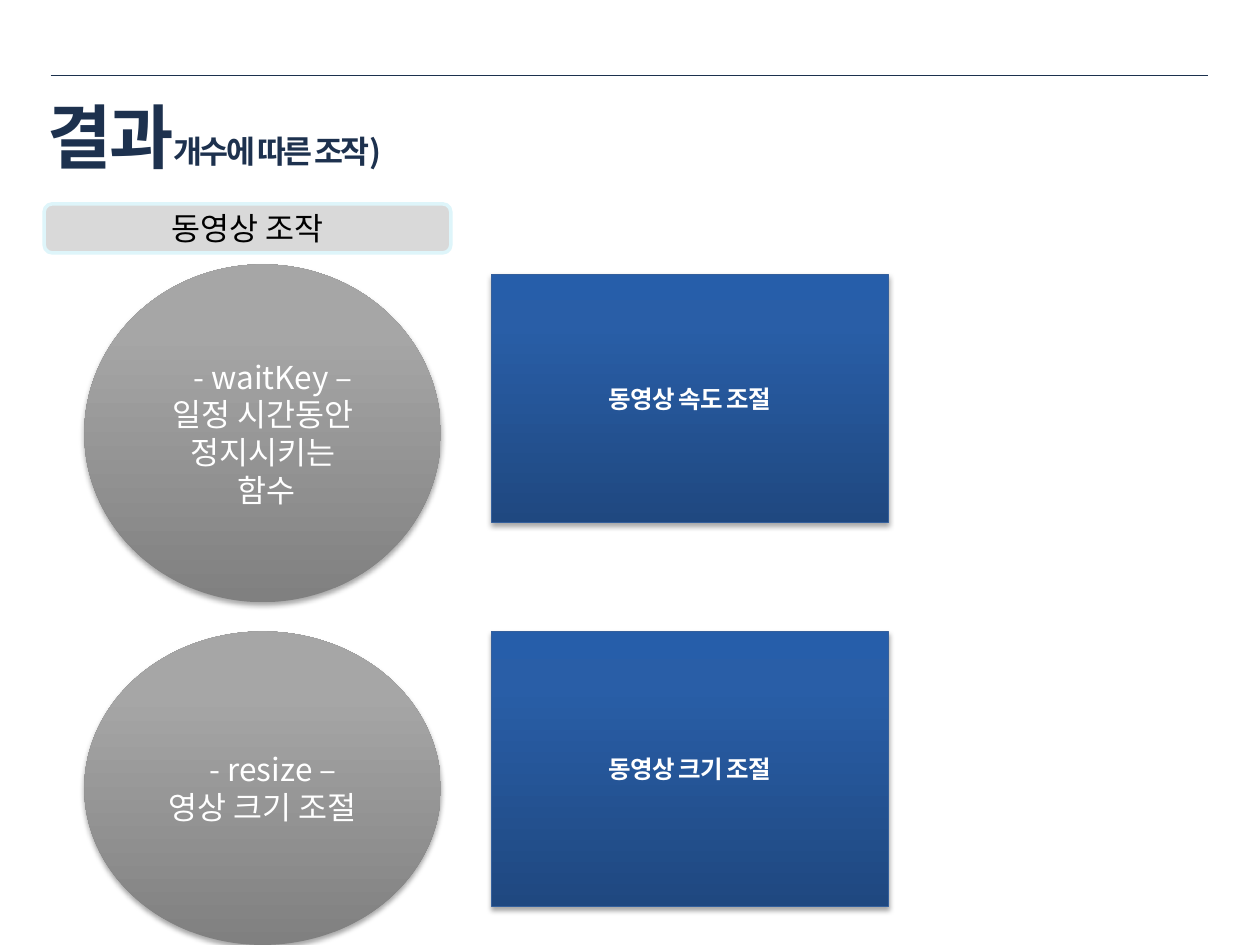
from lxml.etree import SubElement
from pptx import Presentation
from pptx.dml.color import RGBColor
from pptx.enum.shapes import MSO_CONNECTOR, MSO_SHAPE
from pptx.enum.text import MSO_ANCHOR, PP_ALIGN
from pptx.oxml.ns import qn
from pptx.util import Cm, Pt

COLORS = {
    "navy": "1C314E", "title": "1D314E", "label": "D9D9D9", "label_edge": "DEF5FA",
    "box_edge": "35609C", "white": "FFFFFF", "black": "000000",
}
BLUE_STOPS = [(0, "1F4880"), (80, "295EA7"), (100, "265EAA")]
GREY_STOPS = [(0, "808080"), (80, "A6A6A6")]


class SlideBuilder:
    """Draw styled elements on one slide."""

    font_name = "Noto Sans CJK KR"

    def __init__(self, slide):
        self.slide = slide

    def color(self, name):
        return RGBColor.from_string(COLORS[name])

    def format_run(self, run, size, color, bold=False, spacing=0):
        font = run.font
        font.name, font.size, font.bold = self.font_name, Pt(size), bold
        font.color.rgb = self.color(color)
        properties = font._element
        if spacing:
            properties.set("spc", str(int(spacing * 100)))
        SubElement(properties, qn("a:ea"), typeface=self.font_name)

    def rule(self, left, right, top):
        line = self.slide.shapes.add_connector(
            MSO_CONNECTOR.STRAIGHT, Cm(left), Cm(top), Cm(right), Cm(top))
        line.line.color.rgb = self.color("navy")
        line.line.width = Pt(0.25)
        SubElement(line._element.spPr, qn("a:effectLst"))

    def title(self, box, parts):
        shape = self.slide.shapes.add_textbox(*map(Cm, box))
        text_frame = shape.text_frame
        text_frame.word_wrap = True
        text_frame.vertical_anchor = MSO_ANCHOR.MIDDLE
        for text, size in parts:
            run = text_frame.paragraphs[0].add_run()
            run.text = text
            self.format_run(run, size, "title", True, -1.5)

    def shape(self, kind, box, text, size, color, bold=False, spacing=0):
        shape = self.slide.shapes.add_shape(kind, *map(Cm, box))
        shape.shadow.inherit = False
        text_frame = shape.text_frame
        text_frame.text = text
        text_frame.word_wrap = True
        text_frame.vertical_anchor = MSO_ANCHOR.MIDDLE
        for paragraph in text_frame.paragraphs:
            paragraph.alignment = PP_ALIGN.CENTER
            for run in paragraph.runs:
                self.format_run(run, size, color, bold, spacing)
        return shape

    def edge(self, shape, color, width):
        shape.line.color.rgb = self.color(color)
        shape.line.width = Pt(width)

    def gradient(self, shape, stops):
        shape.fill.gradient()
        gradient = shape._element.spPr.find(qn("a:gradFill"))
        stop_list = gradient.find(qn("a:gsLst"))
        for stop in list(stop_list):
            stop_list.remove(stop)
        for position, color in stops:
            stop = SubElement(stop_list, qn("a:gs"), pos=str(position * 1000))
            SubElement(stop, qn("a:srgbClr"), val=color)
        shape.fill.gradient_angle = 90

    def shadow(self, shape):
        effects = shape._element.spPr.find(qn("a:effectLst"))
        outer = SubElement(effects, qn("a:outerShdw"), blurRad=str(Pt(3.1)),
                           dist=str(Pt(1.8)), dir="5400000", rotWithShape="0")
        color = SubElement(outer, qn("a:srgbClr"), val=COLORS["black"])
        SubElement(color, qn("a:alpha"), val="35000")

    def label(self, box, text):
        shape = self.shape(MSO_SHAPE.ROUNDED_RECTANGLE, box, text, 18, "black")
        shape.fill.solid()
        shape.fill.fore_color.rgb = self.color("label")
        self.edge(shape, "label_edge", 2)

    def function_circle(self, box, text):
        shape = self.shape(MSO_SHAPE.OVAL, box, text, 18, "white")
        self.gradient(shape, GREY_STOPS)
        shape.line.fill.background()
        self.shadow(shape)
        heading = shape.text_frame.paragraphs[0]
        heading._p.get_or_add_pPr().set("marL", str(Pt(12)))

    def result_box(self, box, text):
        shape = self.shape(MSO_SHAPE.RECTANGLE, box, text, 14, "white", True, -0.5)
        self.gradient(shape, BLUE_STOPS)
        self.edge(shape, "box_edge", 0.75)
        self.shadow(shape)


def main():
    presentation = Presentation()
    presentation.slide_width, presentation.slide_height = Cm(25.4), Cm(19.05)
    builder = SlideBuilder(presentation.slides.add_slide(presentation.slide_layouts[6]))
    builder.rule(1.02, 24.36, 1.52)
    builder.title((0.71, 1.47, 23.27, 2.54), [("결과", 40), ("개수에 따른 조작)", 18)])
    builder.label((0.89, 4.11, 8.2, 0.99), "동영상 조작")
    rows = [
        (5.33, 6.81, "- waitKey –\n일정 시간동안 정지시키는\n 함수", 5.54, 5, "동영상 속도 조절"),
        (12.73, 6.32, "- resize –\n영상 크기 조절", 12.73, 5.54, "동영상 크기 조절"),
    ]
    for circle_top, circle_height, function, box_top, box_height, result in rows:
        builder.function_circle((1.7, circle_top, 7.19, circle_height), function)
        builder.result_box((9.91, box_top, 8, box_height), result)
    presentation.save("out.pptx")


if __name__ == "__main__":
    main()
